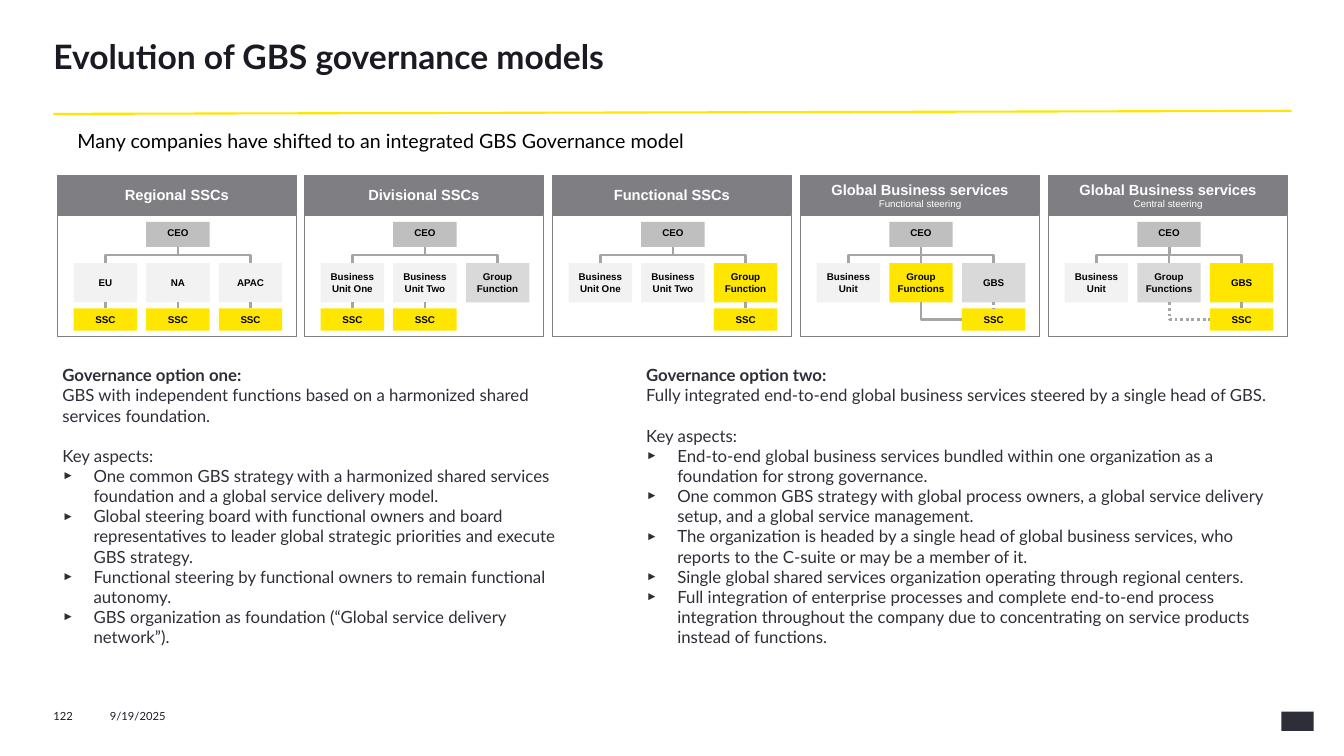
from dataclasses import dataclass

import pptx
import pptx.dml.color
import pptx.enum.dml
import pptx.enum.shapes
import pptx.enum.text
import pptx.oxml
import pptx.oxml.ns
import pptx.util

PX = 9144  # EMU in one px, 100 px to the inch
TOP = pptx.enum.text.MSO_ANCHOR.TOP
MIDDLE = pptx.enum.text.MSO_ANCHOR.MIDDLE
CENTER = pptx.enum.text.PP_ALIGN.CENTER
STRAIGHT = pptx.enum.shapes.MSO_CONNECTOR.STRAIGHT
ELBOW = pptx.enum.shapes.MSO_CONNECTOR.ELBOW
LEFT_SIDE, TOP_SIDE, BOTTOM_SIDE = 1, 0, 2


@dataclass(frozen=True)
class Theme:
    text_font: str = "Lato"
    chart_font: str = "Arial"
    title: str = "1A1A24"
    body: str = "2E2E38"
    black: str = "000000"
    white: str = "FFFFFF"
    yellow: str = "FFE600"
    header: str = "7F7E82"
    ceo: str = "BFBFBF"
    group: str = "D9D9D9"
    unit: str = "F2F2F2"
    link: str = "A5A5A5"
    title_size: float = 24
    lead_size: float = 14
    body_size: float = 12
    header_size: float = 10.5
    footer_size: float = 8
    box_size: float = 7


class SlideBuilder:
    def __init__(self, slide, theme):
        self.slide = slide
        self.theme = theme

    def color(self, value):
        return pptx.dml.color.RGBColor.from_string(value)

    def frame(self, shape, insets, anchor):
        text_frame = shape.text_frame
        text_frame.word_wrap = True
        text_frame.vertical_anchor = anchor
        (text_frame.margin_left, text_frame.margin_top,
         text_frame.margin_right, text_frame.margin_bottom) = [inset * PX for inset in insets]
        return text_frame

    def style(self, paragraph, font, size, color, bold=False):
        for run in paragraph.runs:
            run.font.name = font
            run.font.size = pptx.util.Pt(size)
            run.font.bold = bold
            run.font.color.rgb = self.color(color)

    def bullet(self, paragraph):
        properties = paragraph._p.get_or_add_pPr()
        properties.set("marL", str(31 * PX))
        properties.set("indent", str(-31 * PX))
        for tag, name, value in (("buSzPct", "val", "70000"),
                                 ("buFont", "typeface", self.theme.chart_font),
                                 ("buChar", "char", "►")):
            element = pptx.oxml.parse_xml(
                f'<a:{tag} {pptx.oxml.ns.nsdecls("a")} {name}="{value}"/>')
            properties.append(element)

    def text(self, bounds, text, size, color, bold=False, insets=(0, 0, 0, 0), anchor=TOP):
        shape = self.slide.shapes.add_textbox(*[value * PX for value in bounds])
        text_frame = self.frame(shape, insets, anchor)
        text_frame.text = text
        self.style(text_frame.paragraphs[0], self.theme.text_font, size, color, bold)
        return text_frame.paragraphs[0]

    def option(self, bounds, heading, summary, aspects):
        shape = self.slide.shapes.add_textbox(*[value * PX for value in bounds])
        text_frame = self.frame(shape, (10, 10, 10, 0), TOP)
        text_frame.text = "\n".join([heading, summary, "Key aspects:", *aspects])
        for index, paragraph in enumerate(text_frame.paragraphs):
            if index == 2:
                paragraph.space_before = pptx.util.Pt(14.4)
            if index > 2:
                self.bullet(paragraph)
            self.style(paragraph, self.theme.text_font, self.theme.body_size,
                       self.theme.body, index == 0)

    def box(self, bounds, fill=None, line=None):
        shape = self.slide.shapes.add_shape(
            pptx.enum.shapes.MSO_SHAPE.RECTANGLE, *[value * PX for value in bounds])
        shape.shadow.inherit = False
        if fill:
            shape.fill.solid()
            shape.fill.fore_color.rgb = self.color(fill)
        else:
            shape.fill.background()
        if line:
            shape.line.color.rgb = self.color(line)
            shape.line.width = 0
        else:
            shape.line.fill.background()
        return shape

    def label(self, bounds, text, fill, insets=(4, 5, 4, 5), anchor=MIDDLE):
        shape = self.box(bounds, fill)
        text_frame = self.frame(shape, insets, anchor)
        text_frame.text = text
        paragraph = text_frame.paragraphs[0]
        paragraph.alignment = CENTER
        self.style(paragraph, self.theme.chart_font, self.theme.box_size, self.theme.black, True)
        return shape

    def header(self, bounds, title, steering):
        shape = self.box(bounds, self.theme.header, self.theme.header)
        text_frame = self.frame(shape, (10, 5, 10, 5), TOP if steering else MIDDLE)
        text_frame.text = f"{title}\n{steering}" if steering else title
        for index, paragraph in enumerate(text_frame.paragraphs):
            paragraph.alignment = CENTER
            size = self.theme.box_size if index else self.theme.header_size
            self.style(paragraph, self.theme.chart_font, size, self.theme.white, index == 0)

    def line(self, kind, ends, color, width, dotted=False):
        connector = self.slide.shapes.add_connector(kind, *[value * PX for value in ends])
        connector.line.color.rgb = self.color(color)
        connector.line.width = pptx.util.Pt(width)
        if dotted:
            connector.line.dash_style = pptx.enum.dml.MSO_LINE.ROUND_DOT
        connector.element.spPr.append(
            pptx.oxml.parse_xml(f'<a:effectLst {pptx.oxml.ns.nsdecls("a")}/>'))
        return connector

    def link(self, upper, lower, side=TOP_SIDE, dotted=False):
        """Join the bottom of one box to a side of another, leaving downwards."""
        straight = upper.left == lower.left
        connector = self.line(STRAIGHT if straight else ELBOW, (0, 0, 0, 0),
                              self.theme.link, 2, dotted)
        connector.begin_connect(upper, BOTTOM_SIDE)
        connector.end_connect(lower, side)
        if straight:
            return
        start_x, start_y = connector.begin_x, connector.begin_y
        end_x, end_y = connector.end_x, connector.end_y
        across, down = abs(end_x - start_x), end_y - start_y
        # An elbow that starts vertically is a turned box with swapped sides
        connector.left = (start_x + end_x - down) // 2
        connector.top = (start_y + end_y - across) // 2
        connector.width, connector.height = down, across
        rightward = end_x > start_x
        transform = connector.element.spPr.find(pptx.oxml.ns.qn("a:xfrm"))
        transform.set("rot", str((270 if rightward else 90) * 60000))
        transform.set("flipH", "1" if rightward else "0")
        transform.set("flipV", "0")
        if side == LEFT_SIDE:
            geometry = connector.element.spPr.find(pptx.oxml.ns.qn("a:prstGeom"))
            geometry.set("prst", "bentConnector2")

    def panel(self, left, title, steering, units, service_columns, steered=None):
        """One model: CEO, three units and the SSCs; steered is (side link dotted, down link dotted)."""
        theme = self.theme
        self.box((left, 214, 237, 120), line=theme.header)
        self.header((left, 174, 237, 39), title, steering)
        columns = [left + 16 + 72 * column for column in range(3)]
        ceo = self.label((columns[1], 220, 63, 25), "CEO", theme.ceo, (10, 5, 10, 5), TOP)
        boxes = [self.label((x, 261, 63, 39), name, fill,
                            (0, 5, 0, 5) if name.endswith("Functions") else (4, 5, 4, 5))
                 for x, (name, fill) in zip(columns, units)]
        for unit in boxes if steered else boxes[::2]:
            self.link(ceo, unit)
        for column in service_columns:
            center = self.label((columns[column], 306, 63, 22), "SSC", theme.yellow)
            self.link(boxes[column], center, dotted=bool(steered and steered[1]))
            if steered:
                self.link(boxes[1], center, LEFT_SIDE, steered[0])


def main():
    theme = Theme()
    presentation = pptx.Presentation()
    presentation.slide_width, presentation.slide_height = 1333 * PX, 750 * PX
    builder = SlideBuilder(presentation.slides.add_slide(presentation.slide_layouts[6]), theme)

    # Title, rule and lead sentence
    title = builder.text((53, 42, 1228, 70), "Evolution of GBS governance models",
                         theme.title_size, theme.title, True)
    title.line_spacing = 0.85
    builder.line(STRAIGHT, (53, 113, 1281, 110), theme.yellow, 1.5)
    builder.text((67, 122, 1200, 35),
                 "Many companies have shifted to an integrated GBS Governance model",
                 theme.lead_size, theme.black, insets=(10, 5, 10, 5), anchor=MIDDLE)

    # Five governance models
    unit, group, yellow = theme.unit, theme.group, theme.yellow
    business_units = [("Business\vUnit One", unit), ("Business\vUnit Two", unit)]
    models = [
        ("Regional SSCs", "", [("EU", unit), ("NA", unit), ("APAC", unit)], (0, 1, 2)),
        ("Divisional SSCs", "", [*business_units, ("Group\vFunction", group)], (0, 1)),
        ("Functional SSCs", "", [*business_units, ("Group\vFunction", yellow)], (2,)),
        ("Global Business services", "Functional steering",
         [("Business Unit", unit), ("Group\vFunctions", yellow), ("GBS", group)],
         (2,), (False, True)),
        ("Global Business services", "Central steering",
         [("Business Unit", unit), ("Group\vFunctions", group), ("GBS", yellow)],
         (2,), (True, False)),
    ]
    for index, model in enumerate(models):
        builder.panel(57 + index * 983 // 4, *model)

    # Governance options
    builder.option((52, 352, 530, 325), "Governance option one:",
                   "GBS with independent functions based on a harmonized shared services foundation.", [
        "One common GBS strategy with a harmonized shared services foundation and a global service delivery model.",
        "Global steering board with functional owners and board representatives to leader global strategic priorities and execute GBS strategy.",
        "Functional steering by functional owners to remain functional autonomy.",
        "GBS organization as foundation (“Global service delivery network”).",
    ])
    builder.option((631, 352, 650, 325), "Governance option two:",
                   "Fully integrated end-to-end global business services steered by a single head of GBS.", [
        "End-to-end global business services bundled within one organization as a foundation for strong governance.",
        "One common GBS strategy with global process owners, a global service delivery setup, and a global service management.",
        "The organization is headed by a single head of global business services, who reports to the C-suite or may be a member of it.",
        "Single global shared services organization operating through regional centers.",
        "Full integration of enterprise processes and complete end-to-end process integration throughout the company due to concentrating on service products instead of functions.",
    ])

    # Footer
    builder.text((53, 704, 56, 13), "122", theme.footer_size, theme.title)
    builder.text((109, 704, 140, 13), "9/19/2025", theme.footer_size, theme.title)
    builder.box((1271, 706, 32, 19), theme.body)
    presentation.save("out.pptx")


if __name__ == "__main__":
    main()
